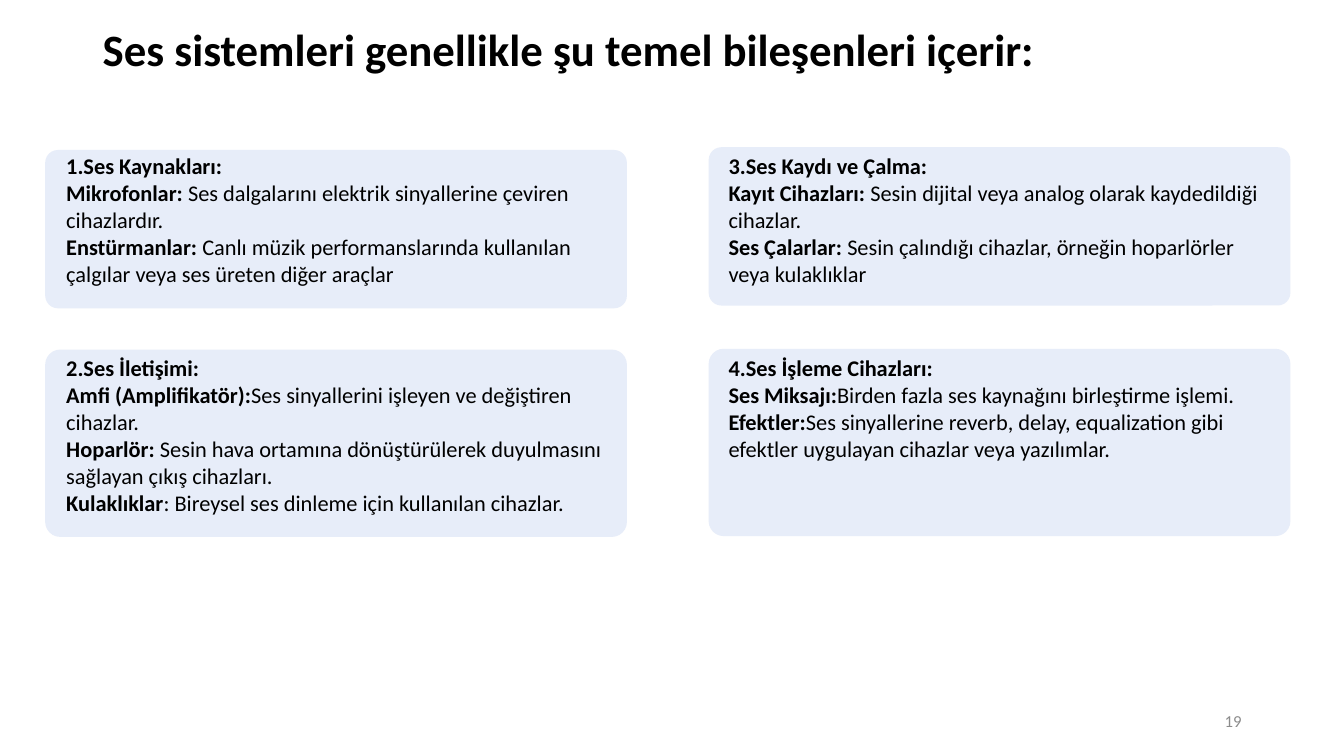
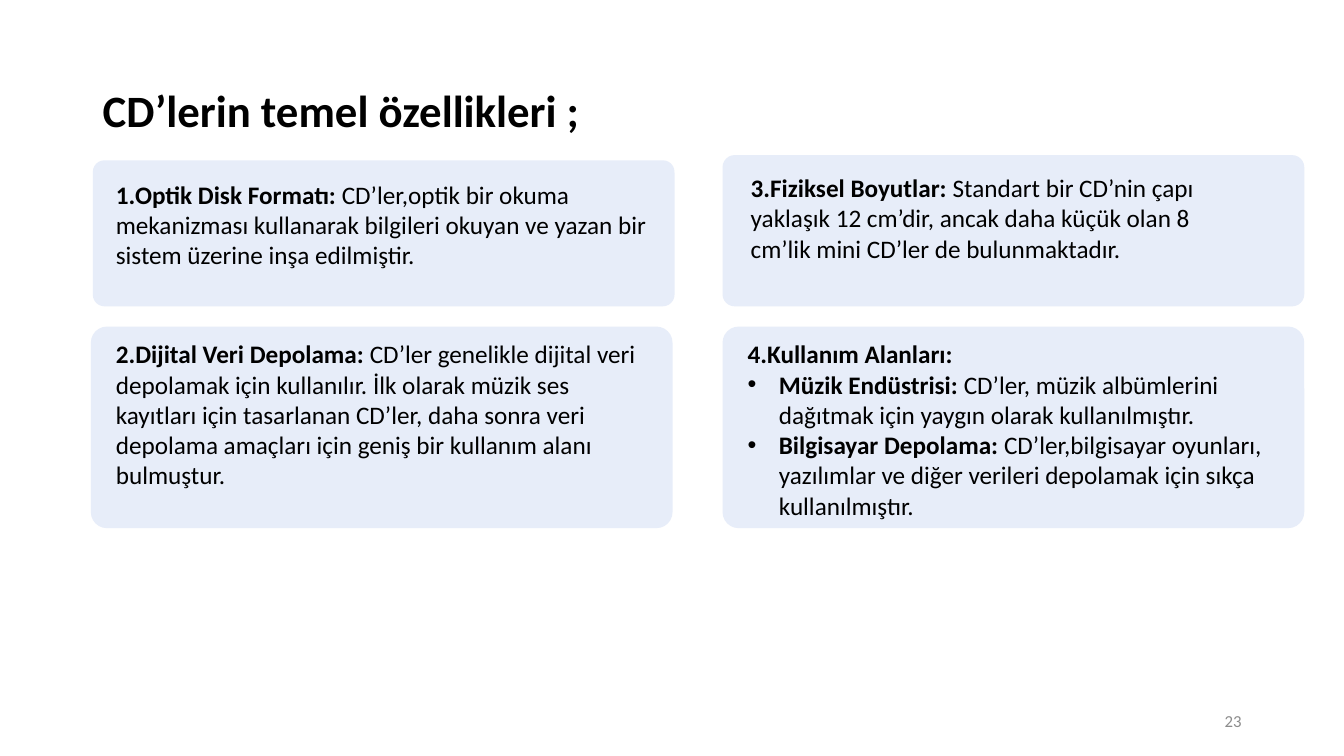
from lxml import etree
from pptx import Presentation
from pptx.dml.color import RGBColor
from pptx.enum import shapes, text
from pptx.oxml import ns
from pptx.util import Cm, Pt

FONT = "Calibri"
BLACK, GREY, CARD_BLUE = "000000", "8C8C8C", "E7EDF9"
CARD_WIDTH = 14.66
BULLET_INDENT = 0.79

COMPONENTS = [
    ((1.14, 3.78, 3.99), (1.42, 3.71, 14.12, 1.98), [
        ("1.Ses Kaynakları:", ""),
        ("Mikrofonlar: ", "Ses dalgalarını elektrik sinyallerine çeviren cihazlardır."),
        ("Enstürmanlar: ", "Canlı müzik performanslarında kullanılan çalgılar veya ses üreten diğer araçlar"),
    ]),
    ((1.14, 8.81, 4.72), (1.42, 8.81, 14.12, 5.13), [
        ("2.Ses İletişimi:", ""),
        ("Amfi (Amplifikatör):", "Ses sinyallerini işleyen ve değiştiren cihazlar."),
        ("Hoparlör: ", "Sesin hava ortamına dönüştürülerek duyulmasını sağlayan çıkış cihazları."),
        ("Kulaklıklar", ": Bireysel ses dinleme için kullanılan cihazlar."),
    ]),
    ((17.86, 8.79, 4.72), (18.11, 8.81, 14.12, 4.37), [
        ("4.Ses İşleme Cihazları:", ""),
        ("Ses Miksajı:", "Birden fazla ses kaynağını birleştirme işlemi."),
        ("Efektler:", "Ses sinyallerine reverb, delay, equalization gibi efektler uygulayan cihazlar veya yazılımlar."),
    ]),
    ((17.86, 3.71, 3.99), (18.11, 3.71, 14.12, 5.05), [
        ("3.Ses Kaydı ve Çalma:", ""),
        ("Kayıt Cihazları: ", "Sesin dijital veya analog olarak kaydedildiği cihazlar."),
        ("Ses Çalarlar: ", "Sesin çalındığı cihazlar, örneğin hoparlörler veya kulaklıklar"),
    ]),
]

CD_FEATURES = [
    ((2.34, 4.04, 3.68), (2.67, 4.39, 13.97, 3.33), [
        ("1.Optik Disk Formatı: ", "CD’ler,optik bir okuma mekanizması kullanarak bilgileri okuyan "
         "ve yazan bir sistem üzerine inşa edilmiştir."),
    ]),
    ((2.29, 8.23, 5.08), (2.67, 8.41, 13.97, 4.88), [
        ("2.Dijital Veri Depolama: ", "CD’ler genelikle dijital veri depolamak için kullanılır. "
         "İlk olarak müzik ses kayıtları için tasarlanan CD’ler, daha sonra veri depolama amaçları "
         "için geniş bir kullanım alanı bulmuştur."),
    ]),
    ((18.21, 3.91, 3.81), (18.67, 4.22, 12.85, 3.33), [
        ("3.Fiziksel Boyutlar:", " Standart bir CD’nin çapı yaklaşık 12 cm’dir, ancak daha küçük "
         "olan 8 cm’lik mini CD’ler de bulunmaktadır."),
    ]),
    ((18.21, 8.23, 5.08), (18.59, 8.41, 13.87, 7.19), [
        ("4.Kullanım Alanları:", ""),
        ("Müzik Endüstrisi: ", "CD’ler, müzik albümlerini dağıtmak için yaygın olarak kullanılmıştır.", True),
        ("Bilgisayar Depolama: ", "CD’ler,bilgisayar oyunları, yazılımlar ve diğer verileri depolamak "
         "için sıkça kullanılmıştır.", True),
    ]),
]


def rgb(color):
    return RGBColor.from_string(color)


def style_font(font, size, color=BLACK, bold=False):
    font.name, font.size, font.bold = FONT, Pt(size), bold
    font.color.rgb = rgb(color)


def add_frame(slide, left, top, width, height, anchor=text.MSO_ANCHOR.TOP):
    frame = slide.shapes.add_textbox(Cm(left), Cm(top), Cm(width), Cm(height)).text_frame
    frame.word_wrap = True
    frame.vertical_anchor = anchor
    return frame


def add_line(slide, box, wording, size, color=BLACK, bold=False, align=text.PP_ALIGN.LEFT):
    frame = add_frame(slide, *box, anchor=text.MSO_ANCHOR.MIDDLE)
    frame.text = wording
    line = frame.paragraphs[0]
    line.alignment = align
    style_font(line.runs[0].font, size, color, bold)
    return line


def add_title(slide, wording, top, height):
    add_line(slide, (2.34, top, 29.21, height), wording, 32, bold=True).line_spacing = 0.9


def add_page_number(slide, number):
    add_line(slide, (23.92, 17.66, 7.62, 1.01), str(number), 12, GREY, align=text.PP_ALIGN.RIGHT)


def add_bullet(paragraph):
    properties = paragraph._p.get_or_add_pPr()
    properties.set("marL", str(Cm(BULLET_INDENT)))
    properties.set("indent", str(-Cm(BULLET_INDENT)))
    etree.SubElement(properties, ns.qn("a:buFont"), typeface="Arial")
    etree.SubElement(properties, ns.qn("a:buChar"), char="•")


def add_card(slide, left, top, height):
    card = slide.shapes.add_shape(
        shapes.MSO_SHAPE.ROUNDED_RECTANGLE, Cm(left), Cm(top), Cm(CARD_WIDTH), Cm(height))
    card.adjustments[0] = 0.08
    card.shadow.inherit = False
    card.fill.solid()
    card.fill.fore_color.rgb = rgb(CARD_BLUE)
    card.line.fill.background()


def add_description(slide, box, entries, size):
    frame = add_frame(slide, *box)
    for index, (label, body, *bulleted) in enumerate(entries):
        paragraph = frame.add_paragraph() if index else frame.paragraphs[0]
        if bulleted:
            add_bullet(paragraph)
        paragraph.text = label
        style_font(paragraph.runs[0].font, size, bold=True)
        if body:
            explanation = paragraph.add_run()
            explanation.text = body
            style_font(explanation.font, size)


def add_topic_slide(deck, title, title_top, title_height, topics, size, number):
    slide = deck.slides.add_slide(deck.slide_layouts[6])
    add_title(slide, title, title_top, title_height)
    for card, box, entries in topics:
        add_card(slide, *card)
        add_description(slide, box, entries, size)
    add_page_number(slide, number)


def main():
    deck = Presentation()
    deck.slide_width, deck.slide_height = Cm(33.87), Cm(19.05)
    add_topic_slide(deck, "Ses sistemleri genellikle şu temel bileşenleri içerir:",
                    0.35, 1.9, COMPONENTS, 16, 19)
    add_topic_slide(deck, "CD’lerin temel özellikleri ;", 1.02, 3.68, CD_FEATURES, 18, 23)
    deck.save("out.pptx")


if __name__ == "__main__":
    main()
